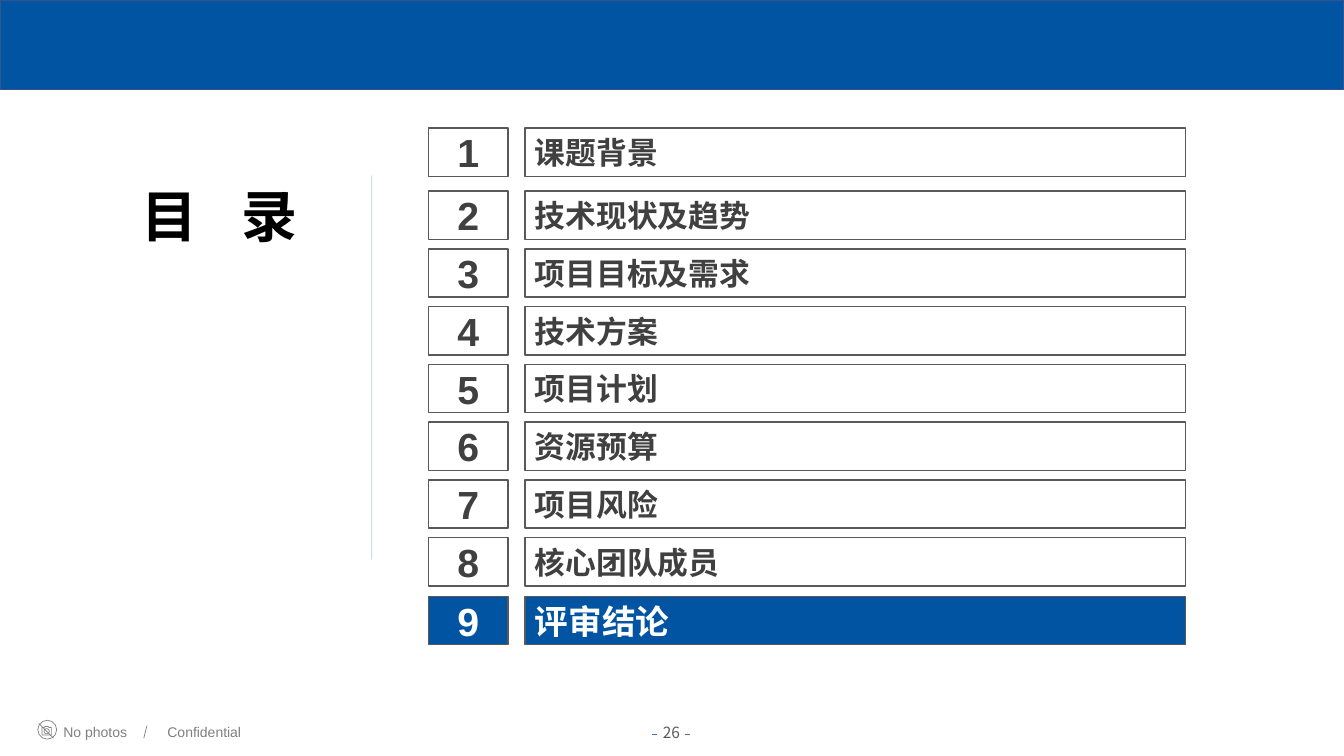
from lxml import etree
from pptx import Presentation
from pptx import util as u
from pptx.dml.color import RGBColor
from pptx.enum import shapes, text
from pptx.oxml.ns import qn

PX = 9525  # EMU per px, 96 px to the inch
BLUE, GREY, DARK, WHITE = "0054A2", "7F7F7F", "404040", "FFFFFF"
BORDER, ACCENT = "595959", "4472C4"
CJK = "Noto Sans CJK SC"
TOPICS = ["课题背景", "技术现状及趋势", "项目目标及需求", "技术方案", "项目计划",
          "资源预算", "项目风险", "核心团队成员", "评审结论"]
CURRENT = 9
RECT = shapes.MSO_SHAPE.RECTANGLE
OVAL = shapes.MSO_SHAPE.OVAL
CENTER, LEFT = text.PP_ALIGN.CENTER, text.PP_ALIGN.LEFT


def px(*lengths):
    return [u.Emu(n * PX) for n in lengths]


def rgb(color):
    return RGBColor.from_string(color)


def add_run(p, words, size, color, bold=False, font="Arial", gap=0):
    r = p.add_run()
    r.text = words
    r.font.size, r.font.bold = u.Pt(size), bold
    r.font.color.rgb = rgb(color)
    r.font.name = font
    rpr = r.font._element
    etree.SubElement(rpr, qn("a:ea")).set("typeface", CJK)
    if gap:  # extra character spacing, in points
        rpr.set("spc", str(gap * 100))


def outline(sp, color, width, fill=None):
    sp.shadow.inherit = False
    if fill:
        sp.fill.solid()
        sp.fill.fore_color.rgb = rgb(fill)
    else:
        sp.fill.background()
    sp.line.color.rgb = rgb(color)
    sp.line.width = u.Pt(width)


def add_box(s, kind, box, color, width, fill=None):
    sp = s.shapes.add_shape(kind, *px(*box))
    outline(sp, color, width, fill)
    return sp


def add_cell(s, box, words, size, align, active):
    sp = add_box(s, RECT, box, BORDER, 1, BLUE if active else None)
    tf = sp.text_frame
    tf.vertical_anchor = text.MSO_ANCHOR.MIDDLE
    p = tf.paragraphs[0]
    p.alignment = align
    add_run(p, words, size, WHITE if active else DARK, True)


def add_line(s, ends, color, alpha=None):
    line = s.shapes.add_connector(shapes.MSO_CONNECTOR.STRAIGHT, *px(*ends))
    line.line.color.rgb = rgb(color)
    line.line.width = u.Pt(0.5)
    sppr = line._element.spPr
    etree.SubElement(sppr, qn("a:effectLst"))
    if alpha:
        clr = sppr.find(".//" + qn("a:srgbClr"))
        etree.SubElement(clr, qn("a:alpha")).set("val", str(alpha * 1000))


def add_label(s, box, words, size, color, font="Arial", align=LEFT, wrap=False):
    tf = s.shapes.add_textbox(*px(*box)).text_frame
    tf.word_wrap = wrap
    p = tf.paragraphs[0]
    p.alignment = align
    add_run(p, words, size, color, font=font)


def add_title(s):
    sp = s.shapes.title
    sp.left, sp.top, sp.width, sp.height = px(72, 168, 274, 74)
    tf = sp.text_frame
    tf.auto_size = text.MSO_AUTO_SIZE.NONE
    tf.vertical_anchor = text.MSO_ANCHOR.TOP
    p = tf.paragraphs[0]
    p.alignment = CENTER
    for words, gap in [("目", 0), (" ", 22), ("录", 0)]:
        add_run(p, words, 40, "000000", True, gap=gap)


def add_no_photo_icon(s):
    add_box(s, OVAL, (36, 686, 18, 18), GREY, 0.5)
    camera = [(40, 693), (42, 693), (43, 692), (46, 692),
              (47, 693), (49, 693), (49, 700), (40, 700)]
    builder = s.shapes.build_freeform(*camera[0], scale=PX)
    builder.add_line_segments(camera[1:], close=True)
    outline(builder.convert_to_shape(), GREY, 0.5)
    add_box(s, OVAL, (42, 694, 5, 5), GREY, 0.5)
    add_line(s, (37, 689, 51, 703), GREY)


def add_footer(s):
    add_no_photo_icon(s)
    add_label(s, (51, 684, 84, 26), "No photos", 10, GREY)
    add_label(s, (150, 684, 90, 26), "Confidential", 10, GREY)
    add_line(s, (140, 691, 137, 703), "808080")
    # Page number between two dashes
    for x in (621, 652):
        add_line(s, (x, 699, x + 5, 699), ACCENT)
    add_label(s, (607, 684, 65, 28), "26", 11, "5A5A5A", CJK, CENTER, True)


def add_agenda(s):
    for number, topic in enumerate(TOPICS, 1):
        # The first row stands apart; the others share an even pitch
        top = 122 if number == 1 else 182 + (number - 2) * 386 // 7
        active = number == CURRENT
        add_cell(s, (408, top, 76, 46), str(number), 28, CENTER, active)
        add_cell(s, (500, top, 629, 46), topic, 24 if active else 22, LEFT, active)


def main():
    prs = Presentation()
    prs.slide_width, prs.slide_height = px(1280, 720)
    s = prs.slides.add_slide(prs.slide_layouts[5])
    add_box(s, RECT, (0, 0, 1280, 85), "325491", 1, BLUE)
    add_title(s)
    add_line(s, (354, 167, 354, 533), ACCENT, 35)
    add_agenda(s)
    add_footer(s)
    prs.save("out.pptx")


if __name__ == "__main__":
    main()
